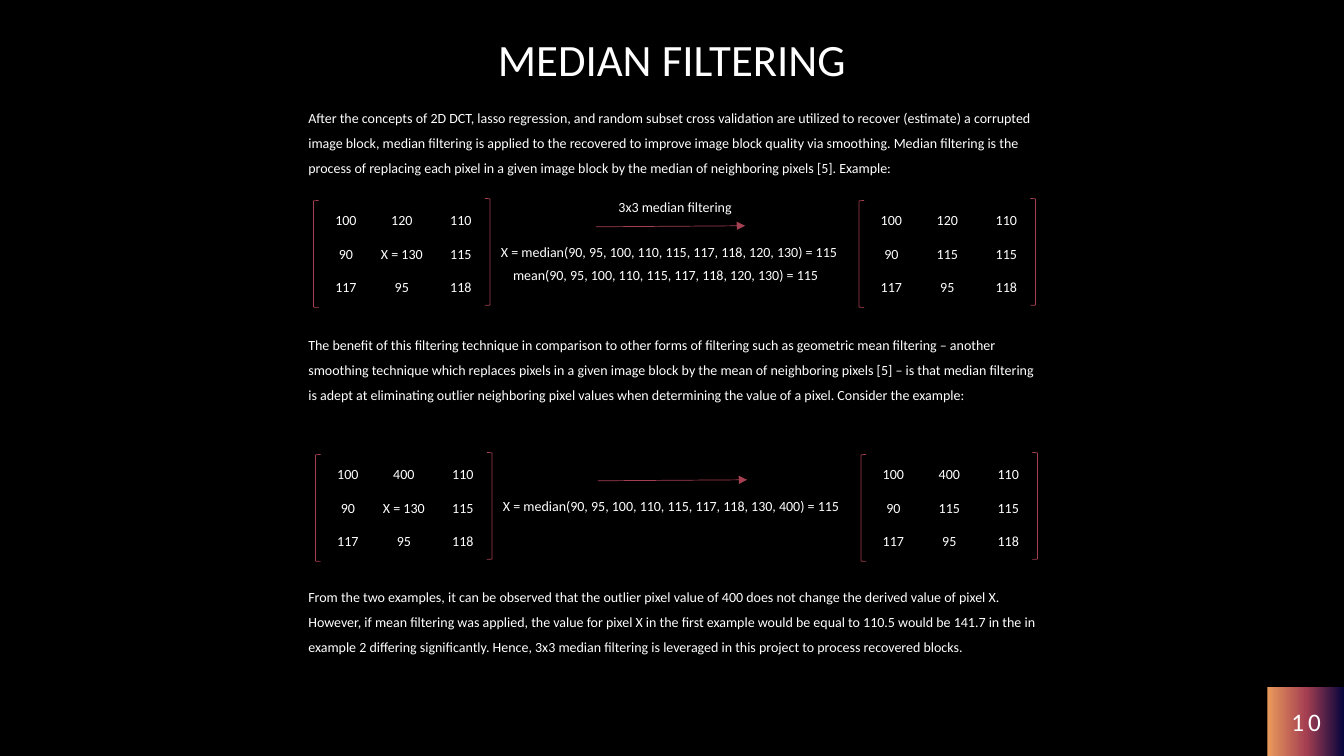
from copy import deepcopy

from lxml.etree import SubElement
from pptx import Presentation
from pptx.dml.color import RGBColor
from pptx.enum.shapes import MSO_CONNECTOR, MSO_SHAPE
from pptx.enum.text import MSO_ANCHOR, PP_ALIGN
from pptx.oxml.ns import qn
from pptx.util import Inches, Pt

BLACK = RGBColor(0x00, 0x00, 0x00)
WHITE = RGBColor(0xFF, 0xFF, 0xFF)
ROSE = RGBColor(0xA5, 0x3F, 0x52)
NAVY = RGBColor(0x01, 0x02, 0x3B)
AMBER = RGBColor(0xEA, 0x9A, 0x5C)

BODY = [
    "After the concepts of 2D DCT, lasso regression, and random subset cross validation "
    "are utilized to recover (estimate) a corrupted image block, median filtering is applied "
    "to the recovered to improve image block quality via smoothing. Median filtering is the "
    "process of replacing each pixel in a given image block by the median of neighboring "
    "pixels [5]. Example:",
    "The benefit of this filtering technique in comparison to other forms of filtering such "
    "as geometric mean filtering – another smoothing technique which replaces pixels in a "
    "given image block by the mean of neighboring pixels [5] – is that median filtering is "
    "adept at eliminating outlier neighboring pixel values when determining the value of a "
    "pixel. Consider the example:",
    "From the two examples, it can be observed that the outlier pixel value of 400 does not "
    "change the derived value of pixel X. However, if mean filtering was applied, the value "
    "for pixel X in the first example would be equal to 110.5 would be 141.7 in the in "
    "example 2 differing significantly. Hence, 3x3 median filtering is leveraged in this "
    "project to process recovered blocks.",
]
CASES = [
    (3.14, 2.05, "120", "X = median(90, 95, 100, 110, 115, 117, 118, 120, 130) = 115"),
    (3.16, 4.57, "400", "X = median(90, 95, 100, 110, 115, 117, 118, 130, 400) = 115"),
]


class Deck:
    """Hold the text style and the current slide, and draw each kind of element."""

    def __init__(self):
        self.show = Presentation()
        self.show.slide_width, self.show.slide_height = Inches(13.33), Inches(7.5)
        self.slide = self.show.slides.add_slide(self.show.slide_layouts[6])
        self.slide.background.fill.solid()
        self.slide.background.fill.fore_color.rgb = BLACK
        self.font = {"name": "Calibri", "size": Pt(10)}

    def letter(self, frame, lines, gaps, size=None, **form):
        frame.word_wrap = True
        style = self.font | ({"size": Pt(size)} if size else {})
        for i, (line, gap) in enumerate(zip(lines, gaps)):
            para = frame.add_paragraph() if i else frame.paragraphs[0]
            run = para.add_run()
            run.text = line
            run.font.color.rgb = WHITE
            for key, value in style.items():
                setattr(run.font, key, value)
            for key, value in ({"space_before": Pt(gap)} | form).items():
                setattr(para, key, value)

    def text(self, box, lines, gaps=(0,), size=None, **form):
        area = self.slide.shapes.add_textbox(*map(Inches, box))
        self.letter(area.text_frame, lines, gaps, size, **form)

    def shape(self, kind, box):
        item = self.slide.shapes.add_shape(kind, *map(Inches, box))
        item.shadow.inherit = False
        return item

    def bracket(self, kind, left, top):
        item = self.shape(kind, (left, top, 0.05, 1.06))
        item.fill.background()
        item.line.color.rgb = ROSE
        item.line.width = Pt(0.5)

    def matrix(self, left, top, rows):
        self.bracket(MSO_SHAPE.RIGHT_BRACKET, left + 1.67, top - 0.08)
        self.bracket(MSO_SHAPE.LEFT_BRACKET, left - 0.03, top - 0.06)
        places = [(0, 0.58), (0.52, 0.65), (1.14, 0.58)]
        for (shift, width), column in zip(places, zip(*rows)):
            self.text((left + shift, top, width, 0.94), column, (0, 12, 12),
                      alignment=PP_ALIGN.CENTER)

    def arrow(self, left, top):
        ends = (left, top, left + 1.48, top - 0.01)
        item = self.slide.shapes.add_connector(MSO_CONNECTOR.STRAIGHT, *map(Inches, ends))
        item.line.color.rgb = ROSE
        item.line.width = Pt(0.5)
        form = item._element.spPr
        SubElement(form.find(qn("a:ln")), qn("a:tailEnd"), type="triangle")
        SubElement(form, qn("a:effectLst"))

    def badge(self, box, label):
        item = self.shape(MSO_SHAPE.RECTANGLE, box)
        item.line.fill.background()
        item.fill.gradient()
        item.fill.gradient_angle = 0
        first = item._element.spPr.find(".//" + qn("a:gs"))
        first.addnext(deepcopy(first))
        for stop, color, place in zip(item.fill.gradient_stops, (AMBER, ROSE, NAVY), (0, 0.5, 1)):
            stop.color.rgb = color
            stop.position = place
        frame = item.text_frame
        frame.vertical_anchor = MSO_ANCHOR.MIDDLE
        self.letter(frame, [label], (0,), 18, alignment=PP_ALIGN.CENTER)
        frame.paragraphs[0].runs[0]._r.get_or_add_rPr().set("spc", "300")


def main():
    deck = Deck()
    deck.text((2.96, 0.95, 7.41, 6.55), BODY, (0, 108, 126), line_spacing=1.5)
    deck.text((3.44, 0, 6.45, 0.97), ["MEDIAN FILTERING"], size=32,
              alignment=PP_ALIGN.CENTER, line_spacing=1.5)
    deck.badge((12.57, 6.82, 0.77, 0.68), "10")
    for left, top, pixel, median in CASES:
        for shift, center in ((0, "X = 130"), (5.41, "115")):
            rows = [("100", pixel, "110"), ("90", center, "115"), ("117", "95", "118")]
            deck.matrix(left + shift, top, rows)
        deck.text((left + 1.73, top + 0.32, 4.52, 0.27), [median])
        deck.arrow(left + 2.77, top + 0.2)
    deck.text((5.82, 1.92, 1.75, 0.27), ["3x3 median filtering"], alignment=PP_ALIGN.CENTER)
    deck.text((4.99, 2.59, 4.34, 0.27),
              ["mean(90, 95, 100, 110, 115, 117, 118, 120, 130) = 115"])
    deck.show.save("out.pptx")


if __name__ == "__main__":
    main()
